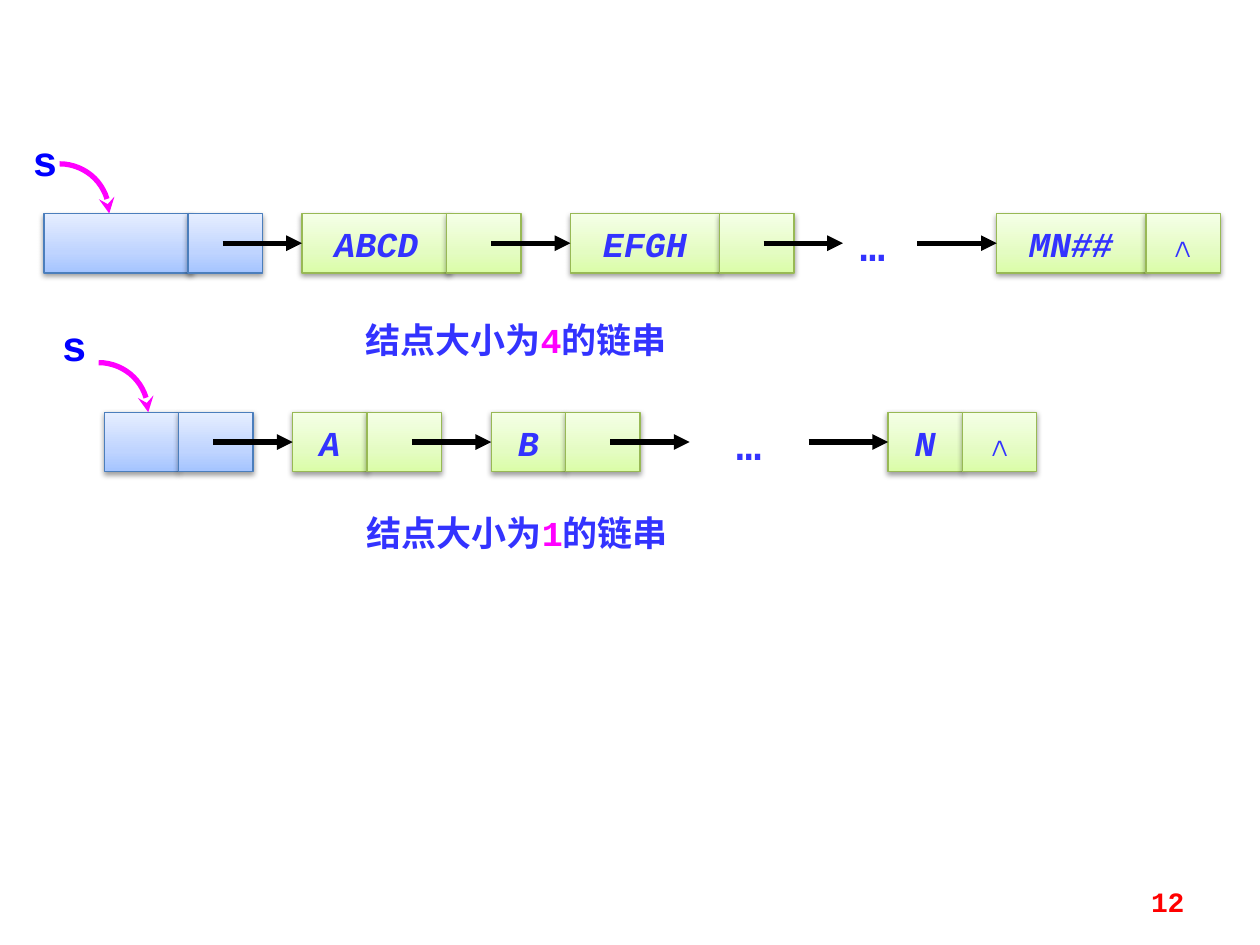
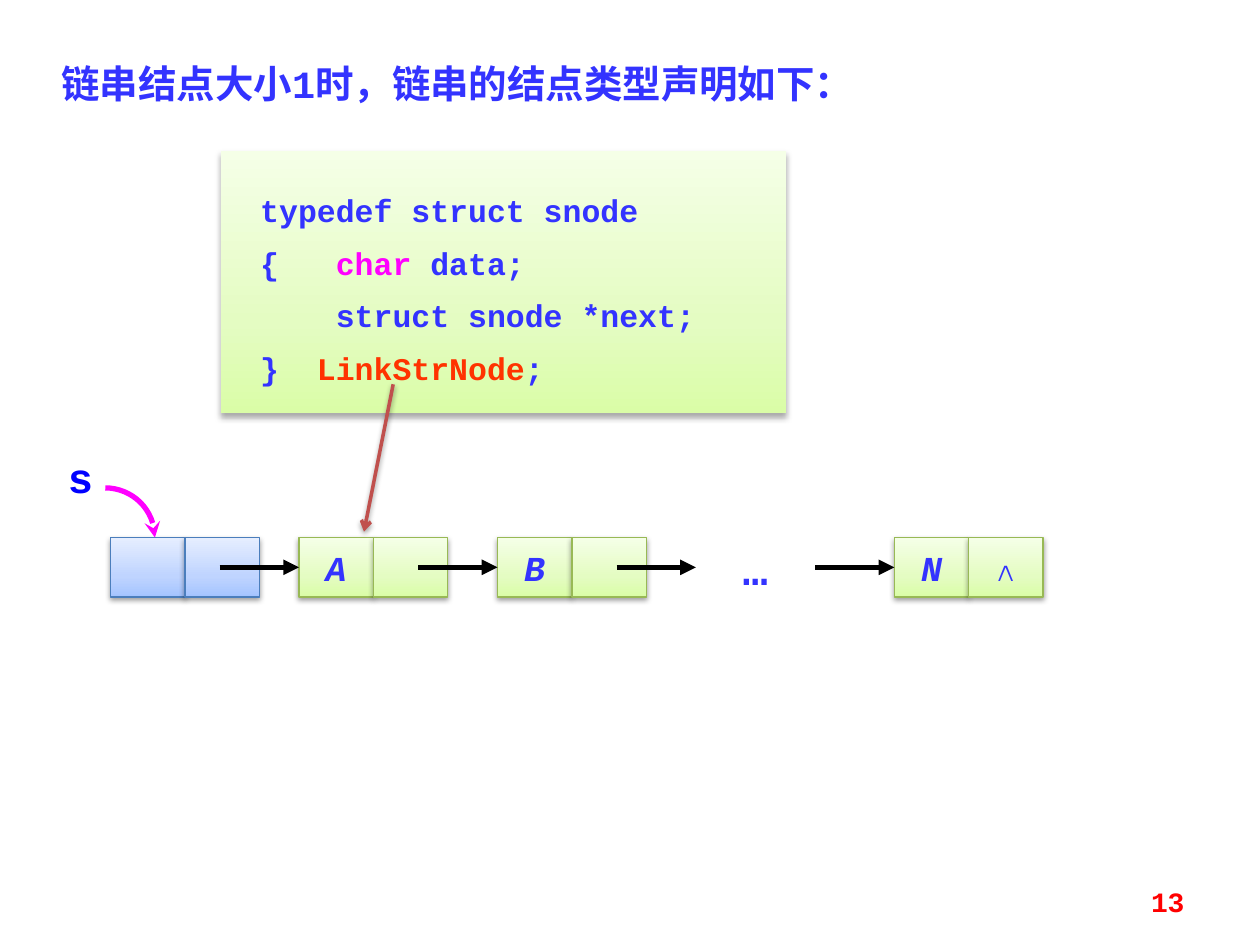
from copy import deepcopy
from math import cos, pi, sin

from lxml.etree import SubElement
from pptx import Presentation
from pptx.dml.color import RGBColor
from pptx.enum.shapes import MSO_CONNECTOR as Link, MSO_SHAPE as Preset
from pptx.enum.text import MSO_ANCHOR as Anchor, MSO_AUTO_SIZE as Fit, PP_ALIGN as Align
from pptx.oxml.ns import qn
from pptx.util import Pt

# Shared look
INK, POINTER, HEAD_NAME, TYPE_NAME = "3333FF", "FF00FF", "0000FF", "FF3300"
PAGE_NUMBER, LINK, CALLOUT = "FF0000", "000000", "C0504D"
BLUE = {"stops": [(0, "A4C4FF"), (0.35, "BFD4FF"), (1, "E6EEFF")], "edge": "4B7EBC"}
GREEN = {"stops": [(0, "DAFDA7"), (0.35, "E4FCC2"), (1, "F5FFE7")], "edge": "98B955"}
CELL_SHADOW = {"blur": 3.15, "distance": 1.57, "alpha": 38}
BOX_SHADOW = {"blur": 3.5, "distance": 2.2, "alpha": 32}
FONT = "Courier New"
CELL_W, CELL_H, WIDE_W = 42.52, 34, 85
LINK_W, ARC_R = 45.35, 28.35
CODE_CHAR_W = 10.8

# Chains: node = (text, left, data width, left of next cell), measured from the chain's left
SLOTS = [107.7 + 113.4 * slot for slot in range(4)]
SMALL = {
    "nodes": [(text, left, CELL_W, left + CELL_W)
              for text, left in [("", 0), ("A", SLOTS[0]), ("B", SLOTS[1]), ("N", SLOTS[3])]],
    "open_link": SLOTS[2], "dots": (345.6, 45.4),
}
WIDE = {
    "nodes": [("", 0, WIDE_W, 82.2), ("ABCD", 147.4, WIDE_W, 230),
              ("EFGH", 300.8, WIDE_W, 386), ("MN##", 544.4, WIDE_W, 629.6)],
    "open_link": 456.5, "dots": (447.8, 51),
}

# Content of the slides
SLIDES = [
    {"number": "12",
     "texts": [
         {"at": (201.6, 178.6, 232.6, 31.7), "size": 20,
          "runs": [("结点大小为", INK), ("4", POINTER), ("的链串", INK)]},
         {"at": (202.3, 288.7, 203.8, 31.7), "size": 20,
          "runs": [("结点大小为", INK), ("1", POINTER), ("的链串", INK)]}],
     "chains": [
         {"kind": SMALL, "left": 59.6, "top": 235.6, "name_at": (28.1, 179.3), "arc_left": 56.4},
         {"kind": WIDE, "left": 25.2, "top": 122, "name_at": (11.5, 73.4), "arc_left": 34.1}]},
    {"number": "13",
     "texts": [
         {"at": (28.1, 28.1, 514, 36.7), "size": 22, "align": Align.JUSTIFY, "spacing": 1.1,
          "runs": [("链串结点大小1时，链串的结点类型声明如下：", INK)]}],
     # Code line = (left margin, first-line shift) in characters, then runs
     "code": [
         (0, 0, [("typedef struct snode", INK)]),
         (4, -4, [("{\t", INK), ("char ", POINTER), ("data;", INK)]),
         (4, 0, [("struct snode *next;", INK)]),
         (3, -3, [("}\t", INK), ("LinkStrNode", TYPE_NAME), (";", INK)])],
     "chains": [
         {"kind": SMALL, "left": 63.2, "top": 307.2, "name_at": (31.7, 254.2), "arc_left": 60.2}],
     "callout": (224.7, 219.6, 208, 303.8)},
]


def color(hex_code):
    return RGBColor.from_string(hex_code)


def pts(values):
    return [Pt(value) for value in values]


def apply(target, formats):
    for key, value in formats.items():
        setattr(target, key, value)


def write(paragraph, runs, size, italic=False):
    for text, ink in runs:
        run = paragraph.add_run()
        run.text = text
        apply(run.font, {"name": FONT, "size": Pt(size), "bold": True, "italic": italic})
        run.font.color.rgb = color(ink)


def add_text(slide, at, runs, size, align=Align.LEFT, spacing=None, half_line_before=True):
    frame = slide.shapes.add_textbox(*pts(at)).text_frame
    apply(frame, {"word_wrap": True, "auto_size": Fit.SHAPE_TO_FIT_TEXT})
    paragraph = frame.paragraphs[0]
    apply(paragraph, {"alignment": align, "line_spacing": spacing})
    if half_line_before:
        before = SubElement(paragraph._p.get_or_add_pPr(), qn("a:spcBef"))
        SubElement(before, qn("a:spcPct")).set("val", "50000")
    write(paragraph, runs, size)
    return frame


def add_shadow(shape, shadow):
    effects = SubElement(shape._element.spPr, qn("a:effectLst"))
    if shadow:
        outer = SubElement(effects, qn("a:outerShdw"), blurRad=str(Pt(shadow["blur"])),
                           dist=str(Pt(shadow["distance"])), dir="5400000", rotWithShape="0")
        black = SubElement(outer, qn("a:srgbClr"), val="000000")
        SubElement(black, qn("a:alpha"), val=str(shadow["alpha"] * 1000))


def add_panel(slide, at, look, shadow, outlined=True):
    panel = slide.shapes.add_shape(Preset.RECTANGLE, *pts(at))
    panel.fill.gradient()
    panel.fill.gradient_angle = 90
    stop_list = panel._element.spPr.find(".//" + qn("a:gsLst"))
    stop_list.insert(1, deepcopy(stop_list[0]))
    for stop, (position, tint) in zip(panel.fill.gradient_stops, look["stops"]):
        stop.position = position
        stop.color.rgb = color(tint)
    if outlined:
        panel.line.color.rgb = color(look["edge"])
        panel.line.width = Pt(0.75)
    else:
        panel.line.fill.background()
    add_shadow(panel, shadow)
    return panel


def add_cell(slide, left, top, width, look, text="", italic=True):
    cell = add_panel(slide, (left, top, width, CELL_H), look, CELL_SHADOW)
    if text:
        apply(cell.text_frame, {"word_wrap": False, "vertical_anchor": Anchor.MIDDLE})
        cell.text_frame.paragraphs[0].alignment = Align.CENTER
        write(cell.text_frame.paragraphs[0], [(text, INK)], 20, italic)
    return cell


def style_arrow(arrow, ink, width, tip, shadow=None):
    arrow.line.color.rgb = color(ink)
    arrow.line.width = Pt(width)
    SubElement(arrow._element.spPr.find(qn("a:ln")), qn("a:tailEnd"), type=tip)
    add_shadow(arrow, shadow)


def add_arrow(slide, ends, ink, width, tip, shadow=None):
    arrow = slide.shapes.add_connector(Link.STRAIGHT, *pts(ends))
    style_arrow(arrow, ink, width, tip, shadow)
    return arrow


def add_head_arc(slide, left, bottom):
    steps = 16
    angles = [pi / 2 * step / steps for step in range(steps + 1)]
    points = [pts((left + ARC_R * sin(a), bottom - ARC_R * cos(a))) for a in angles]
    outline = slide.shapes.build_freeform(*points[0])
    outline.add_line_segments(points[1:], close=False)
    arc = outline.convert_to_shape()
    arc.fill.background()
    style_arrow(arc, POINTER, 3, "stealth")


def add_chain(slide, kind, left, top, name_at, arc_left):
    # Cells: the head node is blue, the last node ends the chain
    targets = []
    last = len(kind["nodes"]) - 1
    for index, (text, data_left, data_w, next_left) in enumerate(kind["nodes"]):
        look = GREEN if index else BLUE
        data = add_cell(slide, left + data_left, top, data_w, look, text)
        add_cell(slide, left + next_left, top, CELL_W, look,
                 "∧" if index == last else "", italic=False)
        if index:
            targets.append((data_left, data))
    dots_left, dots_w = kind["dots"]
    add_text(slide, (left + dots_left, top, dots_w, 36), [("…", INK)], 24, Align.CENTER)

    # Head pointer
    add_head_arc(slide, arc_left, top)
    add_text(slide, (*name_at, 33.8, 36), [("s", HEAD_NAME)], 24)

    # Links between nodes
    middle = top + CELL_H / 2
    for offset, data in targets + [(kind["open_link"], None)]:
        end = left + offset
        link = add_arrow(slide, (end - LINK_W, middle, end, middle), LINK, 3, "triangle")
        if data is not None:
            link.end_connect(data, 1)


def add_code(slide, lines):
    box = add_panel(slide, (126, 86.4, 323.3, 149.8), GREEN, BOX_SHADOW, outlined=False)
    frame = box.text_frame
    apply(frame, {"word_wrap": True, "auto_size": Fit.SHAPE_TO_FIT_TEXT,
                  "vertical_anchor": Anchor.TOP, "margin_left": Pt(22.7),
                  "margin_top": Pt(14.4), "margin_bottom": Pt(14.4)})
    for index, (margin, shift, runs) in enumerate(lines):
        line = frame.add_paragraph() if index else frame.paragraphs[0]
        apply(line, {"alignment": Align.LEFT, "line_spacing": Pt(30)})
        indents = line._p.get_or_add_pPr()
        indents.set("marL", str(Pt(margin * CODE_CHAR_W)))
        indents.set("indent", str(Pt(shift * CODE_CHAR_W)))
        write(line, runs, 18)


def main():
    deck = Presentation()
    apply(deck, {"slide_width": Pt(720), "slide_height": Pt(540)})
    for content in SLIDES:
        slide = deck.slides.add_slide(deck.slide_layouts[6])
        for text in content["texts"]:
            add_text(slide, **text)
        if "code" in content:
            add_code(slide, content["code"])
        for chain in content["chains"]:
            add_chain(slide, **chain)
        if "callout" in content:
            add_arrow(slide, content["callout"], CALLOUT, 2, "arrow", CELL_SHADOW)
        number = add_text(slide, (516.2, 500.4, 167.8, 28.8), [(content["number"], PAGE_NUMBER)],
                          16, Align.RIGHT, half_line_before=False)
        apply(number, {"auto_size": Fit.NONE, "vertical_anchor": Anchor.MIDDLE})
    deck.save("out.pptx")


if __name__ == "__main__":
    main()
